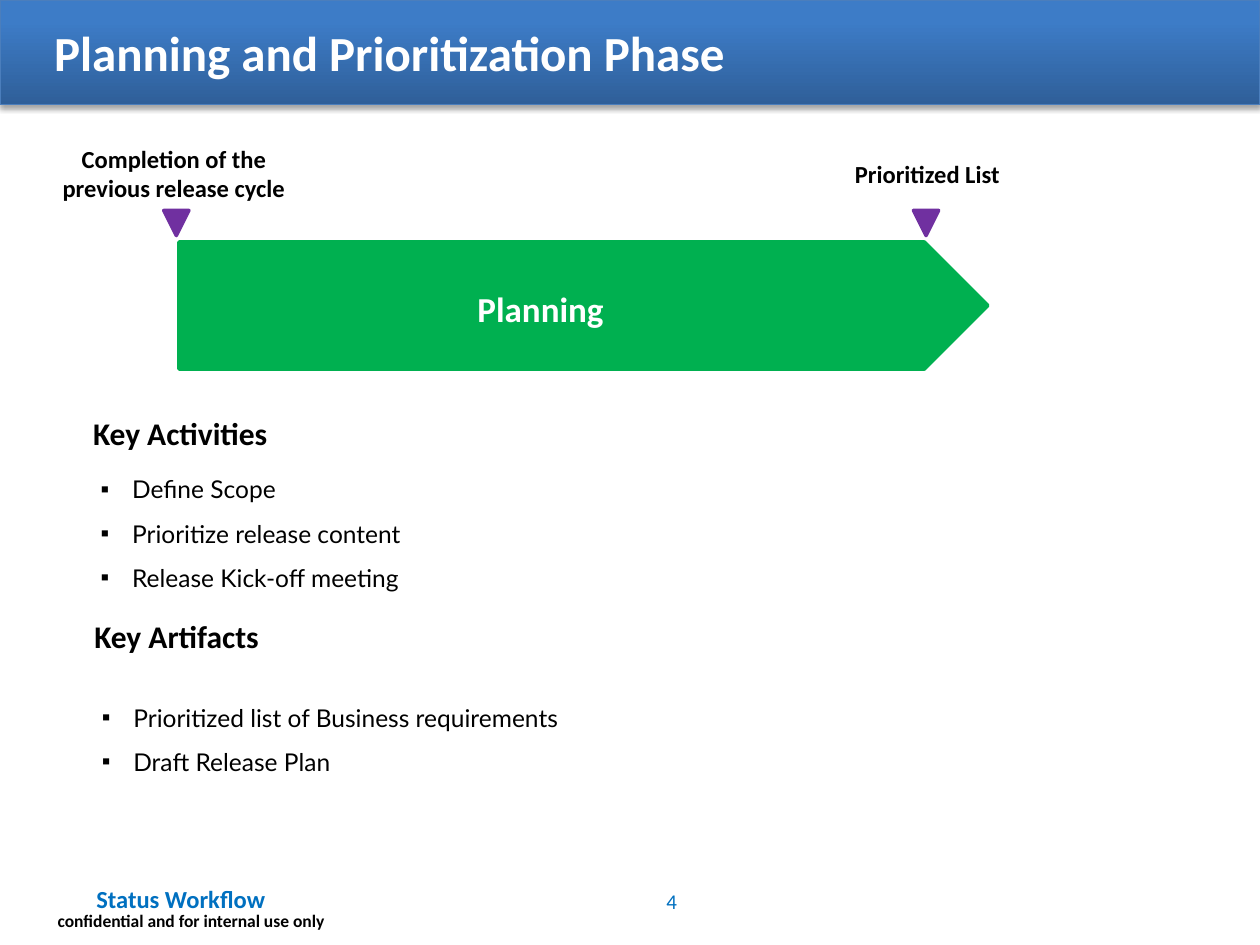
from lxml.etree import SubElement
from pptx import Presentation
from pptx.dml.color import RGBColor
from pptx.enum.shapes import MSO_SHAPE as Shape
from pptx.enum.text import MSO_ANCHOR as Anchor, PP_ALIGN as Align
from pptx.oxml.ns import qn
from pptx.util import Inches, Pt

WHITE = RGBColor(0xFF, 0xFF, 0xFF)
BLACK = RGBColor(0, 0, 0)
GREEN = RGBColor(0x00, 0xB0, 0x50)
PURPLE = RGBColor(0x70, 0x30, 0xA0)
BLUE = RGBColor(0x00, 0x70, 0xC0)
BAND_EDGE = RGBColor(0x4B, 0x7E, 0xBC)
BAND_DARK = RGBColor(0x2F, 0x5F, 0x99)
BAND_LIGHT = RGBColor(0x3D, 0x7C, 0xC7)

WIDTH, HEIGHT = 10, 7.5
MARKER = 0.2


def inches(*lengths):
    return [Inches(length) for length in lengths]


def style(paragraph, size, color, bold=True, font='Calibri', align=Align.LEFT):
    paragraph.alignment = align
    for run in paragraph.runs:
        run.font.size = Pt(size)
        run.font.name = font
        run.font.bold = bold
        run.font.color.rgb = color


def add_label(slide, box, text, size, color=BLACK, bold=True,
              align=Align.CENTER, anchor=Anchor.TOP, wrap=True):
    label = slide.shapes.add_textbox(*inches(*box))
    frame = label.text_frame
    frame.word_wrap = wrap
    frame.vertical_anchor = anchor
    frame.text = text
    style(frame.paragraphs[0], size, color, bold, align=align)


def add_solid(slide, kind, box, color):
    solid = slide.shapes.add_shape(kind, *inches(*box))
    solid.shadow.inherit = False
    solid.fill.solid()
    solid.fill.fore_color.rgb = color
    solid.line.color.rgb = color
    solid.line.width = Pt(2)


def add_band_shadow(band):
    band.shadow.inherit = False
    effects = band._element.spPr.find(qn('a:effectLst'))
    shadow = SubElement(effects, qn('a:outerShdw'), blurRad=str(Pt(3.1)),
                        dist=str(Pt(1.8)), dir='5400000', rotWithShape='0')
    tint = SubElement(shadow, qn('a:srgbClr'), val=str(BLACK))
    SubElement(tint, qn('a:alpha'), val='35000')


def add_header(slide, box, text):
    left, top, width, height = box
    band = slide.shapes.add_shape(Shape.RECTANGLE, *inches(*box))
    band.fill.gradient()
    band.fill.gradient_angle = 90
    stops = ((0, BAND_DARK), (0.8, BAND_LIGHT))
    for stop, (position, color) in zip(band.fill.gradient_stops, stops):
        stop.position = position
        stop.color.rgb = color
    band.line.color.rgb = BAND_EDGE
    band.line.width = Pt(0.75)
    add_band_shadow(band)

    title = slide.shapes.title
    title._element.addprevious(band._element)
    title.left, title.top, title.width, title.height = inches(
        left + 0.33, top, width - 0.83, height)
    title.text_frame.text = text
    title.text_frame.vertical_anchor = Anchor.MIDDLE
    style(title.text_frame.paragraphs[0], 28, WHITE)


def add_timeline(slide, box, phase, milestones):
    left, top, width, height = box
    add_solid(slide, Shape.PENTAGON, box, GREEN)
    add_label(slide, (left + 1.83, top + 0.31, 2.08, 0.44), phase, 20, WHITE)
    for text, offset, label_shift, label_rise, label_height in milestones:
        center = left + offset
        add_solid(slide, Shape.FLOWCHART_MERGE,
                  (center - MARKER / 2, top - 0.25, MARKER, MARKER), PURPLE)
        add_label(slide, (center + label_shift, top - label_rise, 2.22, label_height),
                  text, 14)


def add_bullet(paragraph):
    paragraph.line_spacing = 1.5
    style(paragraph, 14, BLACK, False, 'Lato')
    properties = paragraph._p.get_or_add_pPr()
    properties.set('marL', str(Inches(0.25)))
    properties.set('indent', str(-Inches(0.25)))
    SubElement(properties, qn('a:buFont'), typeface='Arial')
    SubElement(properties, qn('a:buChar'), char='▪')


def add_section(slide, box, heading, items, gap):
    left, top, width, height = box
    add_label(slide, (left, top, width, 0.42), heading, 18, align=Align.LEFT)
    listing = slide.shapes.add_textbox(
        *inches(left + 0.06, top + gap, width - 0.09, height - gap))
    frame = listing.text_frame
    frame.word_wrap = True
    frame.text = '\n'.join(items)
    for paragraph in frame.paragraphs:
        add_bullet(paragraph)


def add_footer(slide, box, name, notice, number):
    left, top, width, height = box
    add_label(slide, (left, top, 2.53, 0.4), name, 14, BLUE, anchor=Anchor.MIDDLE)
    add_label(slide, (left + 4.87, top + 0.02, 0.58, 0.4), number, 12, BLUE, False,
              anchor=Anchor.MIDDLE)
    add_label(slide, (left + 0.17, top + 0.24, 2.35, 0.27), notice, 10, wrap=False)


deck = Presentation()
deck.slide_width, deck.slide_height = inches(WIDTH, HEIGHT)
planning = deck.slides.add_slide(deck.slide_layouts[5])

add_header(planning, (0, 0, WIDTH, 0.83), 'Planning and Prioritization Phase')
add_timeline(planning, (1.42, 1.92, 6.42, 1.01), 'Planning', (
    ('Completion of the previous release cycle', -0.02, -1.13, 0.83, 0.57),
    ('Prioritized List', 5.93, -1.1, 0.71, 0.34),
))
add_section(planning, (0.64, 3.24, 9.11, 1.52), 'Key Activities',
            ('Define Scope', 'Prioritize release content', 'Release Kick-off meeting'), 0.36)
add_section(planning, (0.65, 4.85, 9.11, 1.37), 'Key Artifacts',
            ('Prioritized list of Business requirements', 'Draft Release Plan'), 0.56)
add_footer(planning, (0.17, 6.93, 9.66, 0.51), 'Status Workflow',
           'confidential and for internal use only', '4')

deck.save("out.pptx")
